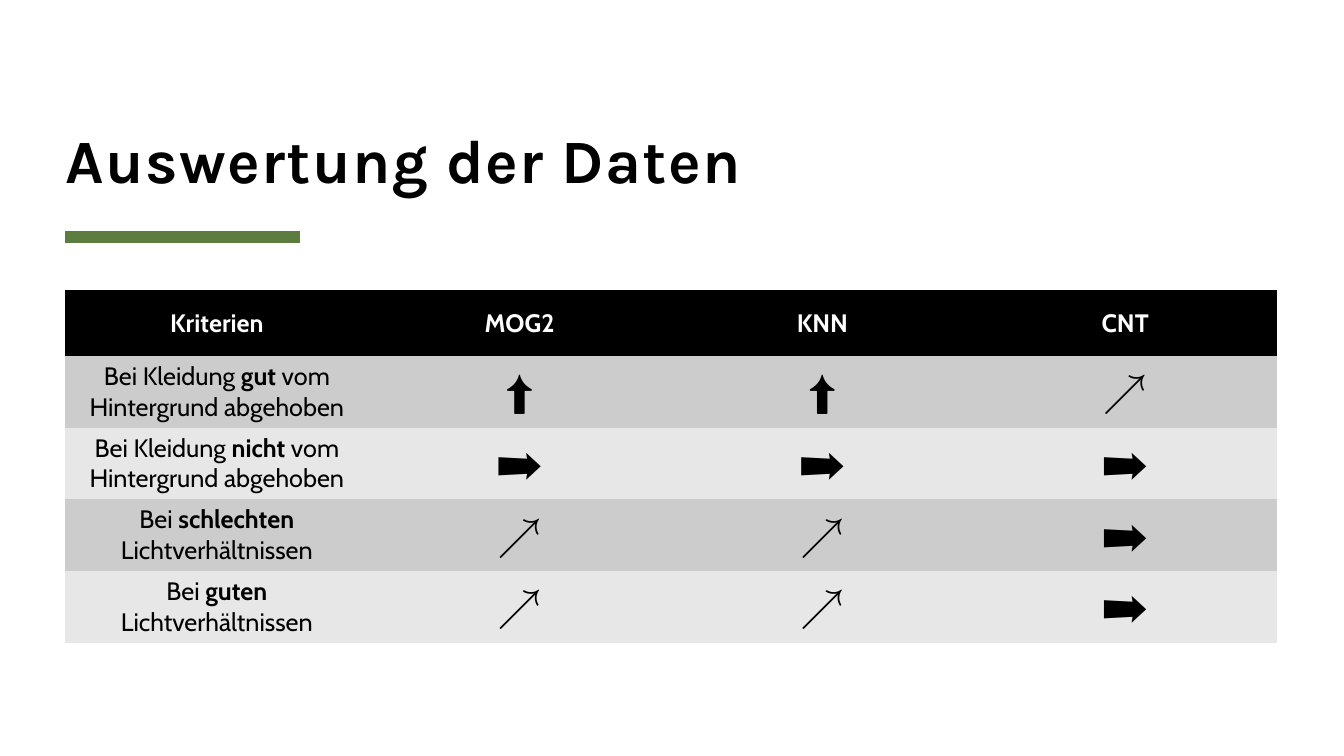
from lxml import etree
from pptx import Presentation
from pptx import util as u
from pptx.dml.color import RGBColor
from pptx.enum import shapes, text
from pptx.oxml.ns import qn

BLACK, WHITE, GREEN = "000000", "FFFFFF", "5D7D40"
BANDS = ("CCCCCC", "E7E7E7")
LEFT = u.Cm(1.65)
UP, RIGHT, RISING = "⬆️", "➡️", "↗️"

HEADINGS = ("Kriterien", "MOG2", "KNN", "CNT")
# Each criterion: text before, bold word, text after; then one arrow per method
RATINGS = (
    (("Bei Kleidung ", "gut", " vom Hintergrund abgehoben"), (UP, UP, RISING)),
    (("Bei Kleidung ", "nicht", " vom Hintergrund abgehoben"), (RIGHT, RIGHT, RIGHT)),
    (("Bei", " schlechten", " Lichtverhältnissen"), (RISING, RISING, RIGHT)),
    (("Bei", " guten", " Lichtverhältnissen"), (RISING, RISING, RIGHT)),
)


def color(value):
    return RGBColor.from_string(value)


def style_span(span, font, size, value, bold=False):
    span.font.name = font
    span.font.size = u.Pt(size)
    span.font.bold = bold
    span.font.color.rgb = color(value)


def add_title(page, wording):
    box = page.shapes.title
    box.left, box.top, box.width, box.height = LEFT, u.Cm(1.63), u.Cm(30.48), u.Cm(3.3)
    frame = box.text_frame
    frame.text = wording
    frame.auto_size = text.MSO_AUTO_SIZE.NONE
    frame.word_wrap = True
    frame.vertical_anchor = text.MSO_ANCHOR.BOTTOM
    frame.margin_left = frame.margin_right = frame.margin_top = frame.margin_bottom = 0
    para = frame.paragraphs[0]
    para.alignment = text.PP_ALIGN.LEFT
    para.line_spacing = 0.8
    span = para.runs[0]
    style_span(span, "Karla", 44, BLACK, bold=True)
    span.font._element.set("spc", "100")


def add_rule(page):
    y = u.Cm(5.97)
    rule = page.shapes.add_connector(shapes.MSO_CONNECTOR.STRAIGHT, LEFT, y, u.Cm(7.57), y)
    rule.line.color.rgb = color(GREEN)
    rule.line.width = u.Pt(8)
    etree.SubElement(rule._element.spPr, qn("a:effectLst"))


def fill_cell(cell, parts, fill, size=18, value=BLACK, bold_part=None):
    # Borders come before the fill in the cell properties
    properties = cell._tc.get_or_add_tcPr()
    for side in ("a:lnL", "a:lnR", "a:lnT", "a:lnB"):
        border = etree.SubElement(properties, qn(side), w="0")
        etree.SubElement(border, qn("a:noFill"))
    cell.fill.solid()
    cell.fill.fore_color.rgb = color(fill)
    cell.vertical_anchor = text.MSO_ANCHOR.MIDDLE
    para = cell.text_frame.paragraphs[0]
    para.alignment = text.PP_ALIGN.CENTER
    for index, part in enumerate(parts):
        span = para.add_run()
        span.text = part
        style_span(span, "Cabin", size, value, bold=index == bold_part)


def add_ratings(page):
    rows, columns = len(RATINGS) + 1, len(HEADINGS)
    row_height, column_width = u.Cm(1.65), u.Cm(7.63)
    table = page.shapes.add_table(rows, columns, LEFT, u.Cm(7.32),
                                  column_width * columns, row_height * rows).table
    table.horz_banding = False
    for row in table.rows:
        row.height = row_height
    for column in table.columns:
        column.width = column_width

    # Header row
    for index, heading in enumerate(HEADINGS):
        fill_cell(table.cell(0, index), [heading], BLACK, value=WHITE, bold_part=0)

    # Criteria with their arrows
    for number, (criterion, arrows) in enumerate(RATINGS, start=1):
        band = BANDS[(number - 1) % 2]
        fill_cell(table.cell(number, 0), criterion, band, bold_part=1)
        for index, arrow in enumerate(arrows, start=1):
            fill_cell(table.cell(number, index), [arrow], band, size=32)


def main():
    deck = Presentation()
    deck.slide_width, deck.slide_height = u.Cm(33.87), u.Cm(19.05)
    page = deck.slides.add_slide(deck.slide_layouts.get_by_name("Title Only"))
    add_rule(page)
    add_title(page, "Auswertung der Daten")
    add_ratings(page)
    deck.save("out.pptx")


if __name__ == "__main__":
    main()
